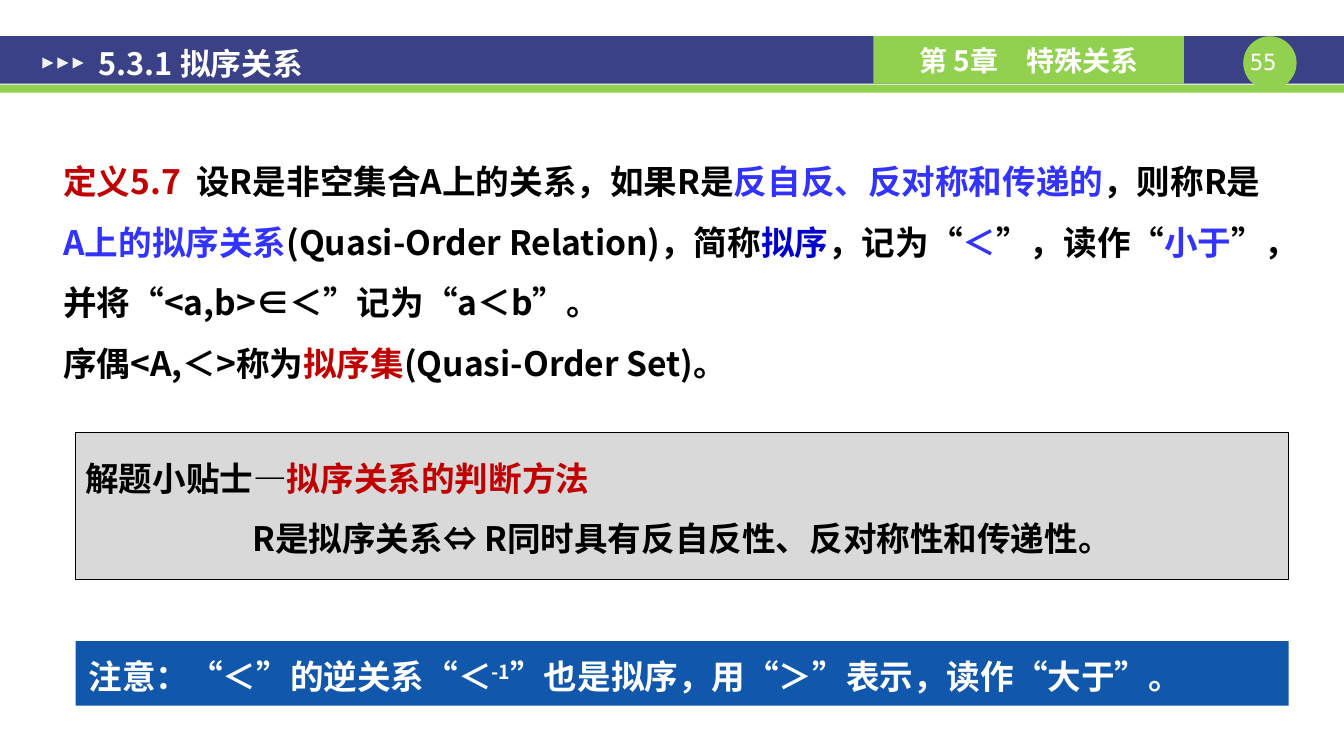
from lxml import etree
from pptx import Presentation
from pptx import util as u
from pptx.dml.color import RGBColor
from pptx.enum import lang, shapes, text
from pptx.oxml import ns

NAVY = RGBColor(0x3A, 0x41, 0x87)
GREEN = RGBColor(0x92, 0xD0, 0x50)
WHITE = RGBColor(0xFF, 0xFF, 0xFF)
OFF_WHITE = RGBColor(0xF2, 0xF2, 0xF2)
BLACK = RGBColor(0x00, 0x00, 0x00)
RED = RGBColor(0xC0, 0x00, 0x00)
VIOLET = RGBColor(0x33, 0x33, 0xFF)
BLUE = RGBColor(0x00, 0x00, 0xCC)
GREY = RGBColor(0xD9, 0xD9, 0xD9)
NOTE_BLUE = RGBColor(0x11, 0x57, 0xAB)

ROOMY = (0.13, 0.07)
STANDARD = (0.1, 0.05)
LEFT, CENTER = text.PP_ALIGN.LEFT, text.PP_ALIGN.CENTER
TOP, MIDDLE = text.MSO_ANCHOR.TOP, text.MSO_ANCHOR.MIDDLE
RECTANGLE = shapes.MSO_SHAPE.RECTANGLE


def run(content, color=BLACK, size=24, bold=True, name="Noto Sans CJK SC", baseline=0):
    return dict(content=content, color=color, size=size, bold=bold, name=name, baseline=baseline)


class SlideBuilder:
    def __init__(self, presentation):
        self.slide = presentation.slides.add_slide(presentation.slide_layouts[6])

    def shape(self, box, fill, kind=RECTANGLE, line=None, rotation=0):
        shape = self.slide.shapes.add_shape(kind, *map(u.Inches, box))
        shape.shadow.inherit = False
        shape.rotation = rotation
        shape.fill.solid()
        shape.fill.fore_color.rgb = fill
        if line is None:
            shape.line.fill.background()
        else:
            shape.line.color.rgb = line
            shape.line.width = u.Pt(0.75)
        return shape

    def text_box(self, box, paragraphs, **layout):
        shape = self.slide.shapes.add_textbox(*map(u.Inches, box))
        self.fill_text(shape, paragraphs, **layout)

    def fill_text(self, shape, paragraphs, aligns=(LEFT,), anchor=TOP, insets=STANDARD, spacing=1.0):
        frame = shape.text_frame
        frame.word_wrap = True
        frame.vertical_anchor = anchor
        frame.margin_left = frame.margin_right = u.Inches(insets[0])
        frame.margin_top = frame.margin_bottom = u.Inches(insets[1])
        for index, runs in enumerate(paragraphs):
            paragraph = frame.add_paragraph() if index else frame.paragraphs[0]
            paragraph.alignment = aligns[index % len(aligns)]
            paragraph.line_spacing = spacing
            for style in runs:
                self.add_run(paragraph, **style)

    def add_run(self, paragraph, content, color, size, bold, name, baseline):
        piece = paragraph.add_run()
        piece.text = content
        font = piece.font
        font.size, font.bold, font.name = u.Pt(size), bold, name
        font.color.rgb = color
        font.language_id = lang.MSO_LANGUAGE_ID.SIMPLIFIED_CHINESE
        properties = piece._r.get_or_add_rPr()
        etree.SubElement(properties, ns.qn("a:ea")).set("typeface", name)
        if baseline:
            properties.set("baseline", str(baseline * 1000))


def add_header(builder):
    builder.shape((0, 0.36, 13.34, 0.47), NAVY)
    builder.shape((0, 0.84, 13.34, 0.08), GREEN)
    builder.shape((12.34, 0.36, 0.53, 0.53), GREEN, shapes.MSO_SHAPE.OVAL)
    builder.text_box(
        (12.34, 0.48, 0.53, 0.27),
        [[run("55 ", WHITE, 16, bold=False, name="DejaVu Sans Mono")]],
        aligns=(CENTER,), insets=(0, 0),
    )
    chapter = builder.shape((8.67, 0.36, 3.08, 0.47), GREEN)
    builder.fill_text(chapter, [[run("第 5章　特殊关系", WHITE, 20)]], aligns=(CENTER,), anchor=MIDDLE)
    for index in range(3):
        builder.shape((0.42 + 0.15 * index, 0.57, 0.11, 0.11), OFF_WHITE,
                      shapes.MSO_SHAPE.ISOSCELES_TRIANGLE, rotation=90)
    builder.text_box((0.85, 0.39, 5.83, 0.47), [[run("5.3.1 拟序关系", WHITE, 22)]],
                     anchor=MIDDLE, insets=ROOMY)


def add_definition(builder):
    definition = [
        run("定义5.7  ", RED),
        run("设R是非空集合A上的关系，如果R是"),
        run("反自反、反对称和传递的", VIOLET),
        run("，则称R是"),
        run("A上的拟序关系", VIOLET),
        run("(Quasi-Order Relation)，简称"),
        run("拟序", BLUE),
        run("，记为“"),
        run("＜", VIOLET),
        run("”，读作“"),
        run("小于", VIOLET),
        run("”，并将“<a,b>∈＜”记为“a＜b”。"),
    ]
    ordered_set = [run("序偶<A,＜>称为"), run("拟序集", RED), run("(Quasi-Order Set)。")]
    builder.text_box((0.5, 1.33, 12.33, 2.75), [definition, ordered_set],
                     insets=ROOMY, spacing=1.5)


def add_tip(builder):
    tip = builder.shape((0.75, 4.29, 12.04, 1.46), GREY, line=BLACK)
    builder.fill_text(
        tip,
        [[run("解题小贴士—"), run("拟序关系的判断方法", RED)],
         [run("R是拟序关系⇔ R同时具有反自反性、反对称性和传递性。")]],
        aligns=(text.PP_ALIGN.JUSTIFY, CENTER), spacing=1.5,
    )


def add_note(builder):
    note = builder.shape((0.75, 6.36, 12.04, 0.64), NOTE_BLUE)
    builder.fill_text(
        note,
        [[run("注意：“＜”的逆关系“＜", WHITE), run("-1", WHITE, baseline=30),
          run("”也是拟序，用“＞”表示，读作“大于”。", WHITE)]],
        insets=ROOMY, spacing=1.2,
    )


def main():
    presentation = Presentation()
    presentation.slide_width = u.Inches(13.34)
    presentation.slide_height = u.Inches(7.5)
    builder = SlideBuilder(presentation)
    add_header(builder)
    add_definition(builder)
    add_tip(builder)
    add_note(builder)
    presentation.save("out.pptx")


if __name__ == "__main__":
    main()
